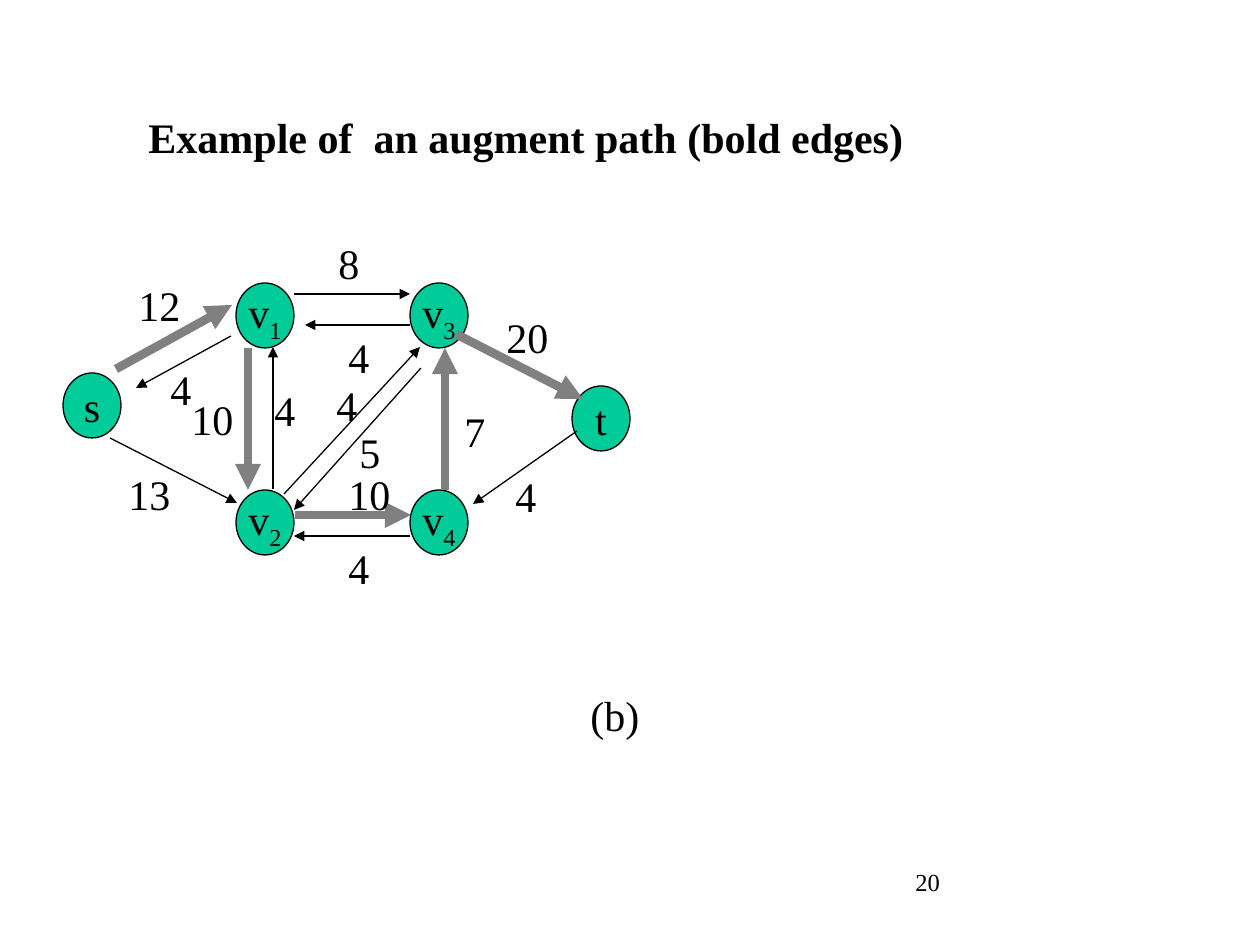
import pptx
import pptx.util
import pptx.dml.color
import pptx.enum.shapes
import pptx.enum.text
import pptx.oxml.ns
import lxml.etree

PX = 914400 / 126
FONT = "Times New Roman"
COLORS = {"ink": "000000", "node": "00CC99", "path": "808080"}


def rgb(name):
    return pptx.dml.color.RGBColor.from_string(COLORS[name])


def add_text(words, left, top, width, size=24, bold=False, wrap=False):
    box = slide.shapes.add_textbox(*[round(v * PX) for v in (left, top, width, 63)])
    box.text_frame.word_wrap = wrap
    box.text_frame.auto_size = pptx.enum.text.MSO_AUTO_SIZE.SHAPE_TO_FIT_TEXT
    paragraph = box.text_frame.paragraphs[0]
    paragraph.text = words
    paragraph.font.name = FONT
    paragraph.font.size = pptx.util.Pt(size)
    paragraph.font.bold = bold
    paragraph.font.color.rgb = rgb("ink")
    return paragraph


deck = pptx.Presentation()
deck.slide_width = round(1260 * PX)
deck.slide_height = round(945 * PX)
slide = deck.slides.add_slide(deck.slide_layouts[6])

# Page number
add_text("20", 903, 861, 262, size=14, wrap=True)

# Graph nodes: letter, subscript, left, top
nodes = [
    ("s", "", 63, 373),
    ("v", "2", 236, 490),
    ("v", "4", 410, 490),
    ("t", "", 572, 386),
    ("v", "3", 410, 283),
    ("v", "1", 236, 283),
]
for letter, subscript, left, top in nodes:
    node = slide.shapes.add_shape(
        pptx.enum.shapes.MSO_SHAPE.OVAL,
        *[round(v * PX) for v in (left, top, 58, 65)])
    node.shadow.inherit = False
    node.fill.solid()
    node.fill.fore_color.rgb = rgb("node")
    node.line.color.rgb = rgb("ink")
    node.line.width = pptx.util.Pt(0.75)
    node.text_frame.word_wrap = False
    node.text_frame.vertical_anchor = pptx.enum.text.MSO_ANCHOR.MIDDLE
    name = node.text_frame.paragraphs[0]
    name.alignment = pptx.enum.text.PP_ALIGN.CENTER
    name.font.name = FONT
    name.font.size = pptx.util.Pt(24)
    name.font.color.rgb = rgb("ink")
    name.add_run().text = letter
    if subscript:
        index = name.add_run()
        index.text = subscript
        index.font._element.set("baseline", "-25000")

# Directed edges: start x, y, end x, y; the augmenting path is bold
path_edges = [
    (116, 369, 232, 305),  # s to v1
    (248, 348, 248, 490),  # v1 to v2
    (295, 515, 411, 515),  # v2 to v4
    (445, 490, 445, 348),  # v4 to v3
    (456, 334, 583, 399),  # v3 to t
]
plain_edges = [
    (231, 336, 136, 388),  # v1 to s
    (110, 438, 237, 503),  # s to v2
    (294, 294, 410, 294),  # v1 to v3
    (410, 325, 305, 325),  # v3 to v1
    (273, 489, 273, 347),  # v2 to v1
    (421, 368, 294, 510),  # v3 to v2
    (284, 494, 420, 347),  # v2 to v3
    (410, 536, 294, 536),  # v4 to v2
    (577, 431, 473, 504),  # t to v4
]
for edges, color, weight in ((path_edges, "path", 5), (plain_edges, "ink", 0.75)):
    for ends in edges:
        edge = slide.shapes.add_connector(
            pptx.enum.shapes.MSO_CONNECTOR.STRAIGHT, *[round(v * PX) for v in ends])
        edge.line.color.rgb = rgb(color)
        edge.line.width = pptx.util.Pt(weight)
        arrowhead = lxml.etree.SubElement(
            edge.line._get_or_add_ln(), pptx.oxml.ns.qn("a:tailEnd"))
        arrowhead.set("type", "triangle")
        lxml.etree.SubElement(edge._element.spPr, pptx.oxml.ns.qn("a:effectLst"))

# Edge capacities: value, left, top
capacities = [
    ("12", 126, 273), ("13", 116, 462), ("8", 326, 231), ("10", 179, 387),
    ("4", 262, 378), ("20", 494, 305), ("4", 503, 464), ("7", 452, 399),
    ("4", 336, 536), ("4", 158, 357), ("4", 336, 325), ("4", 324, 373),
    ("10", 336, 462),
]
for value, left, top in capacities:
    add_text(value, left, top, 26 + 21 * len(value))
add_text("5", 347, 420, 68, wrap=True)

# Figure label and heading
add_text("(b)", 578, 683, 74)
heading = add_text("Example of  an augment path (bold edges)", 136, 105, 903,
                   bold=True, wrap=True)
heading.space_before = pptx.util.Pt(15)

deck.save("out.pptx")
